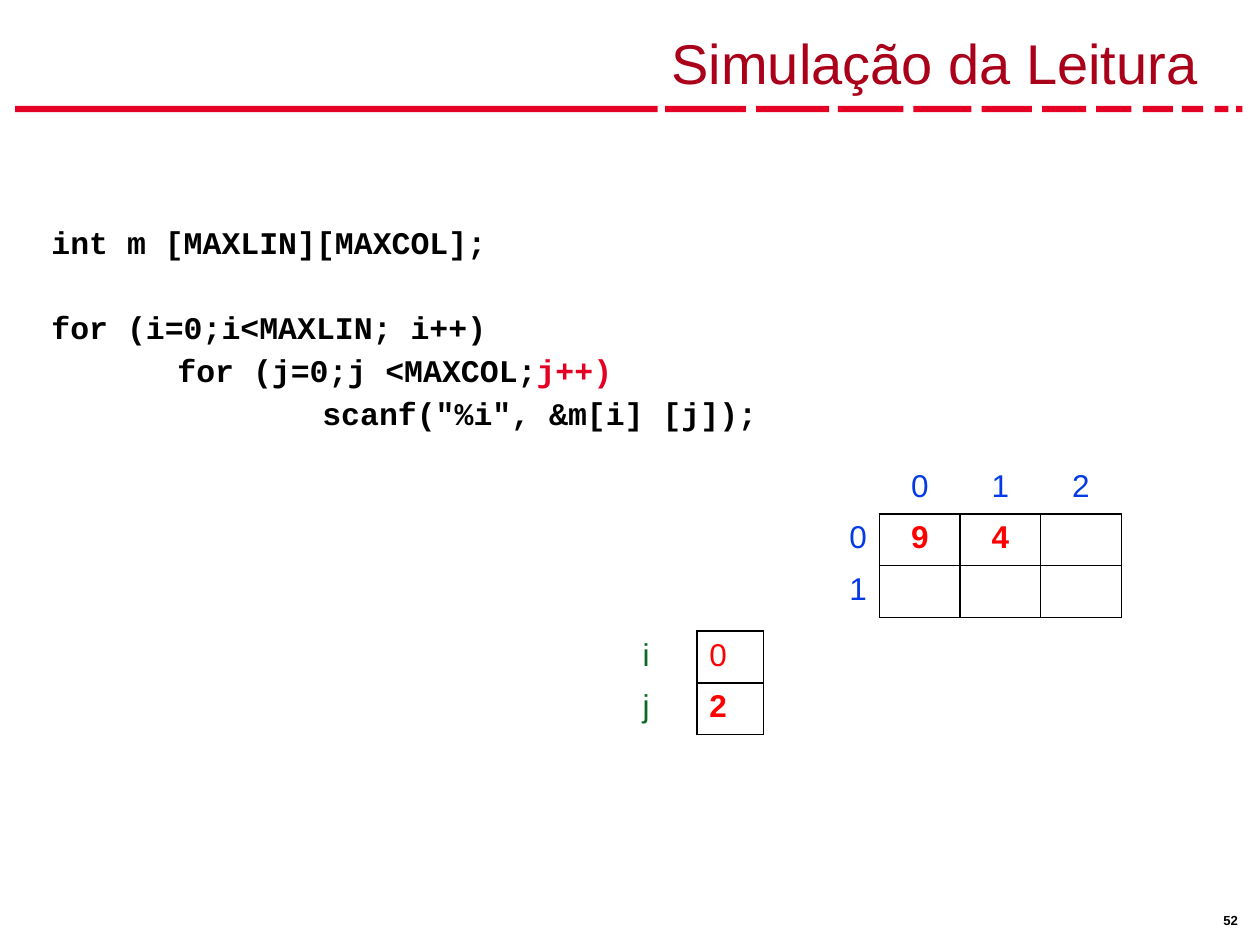
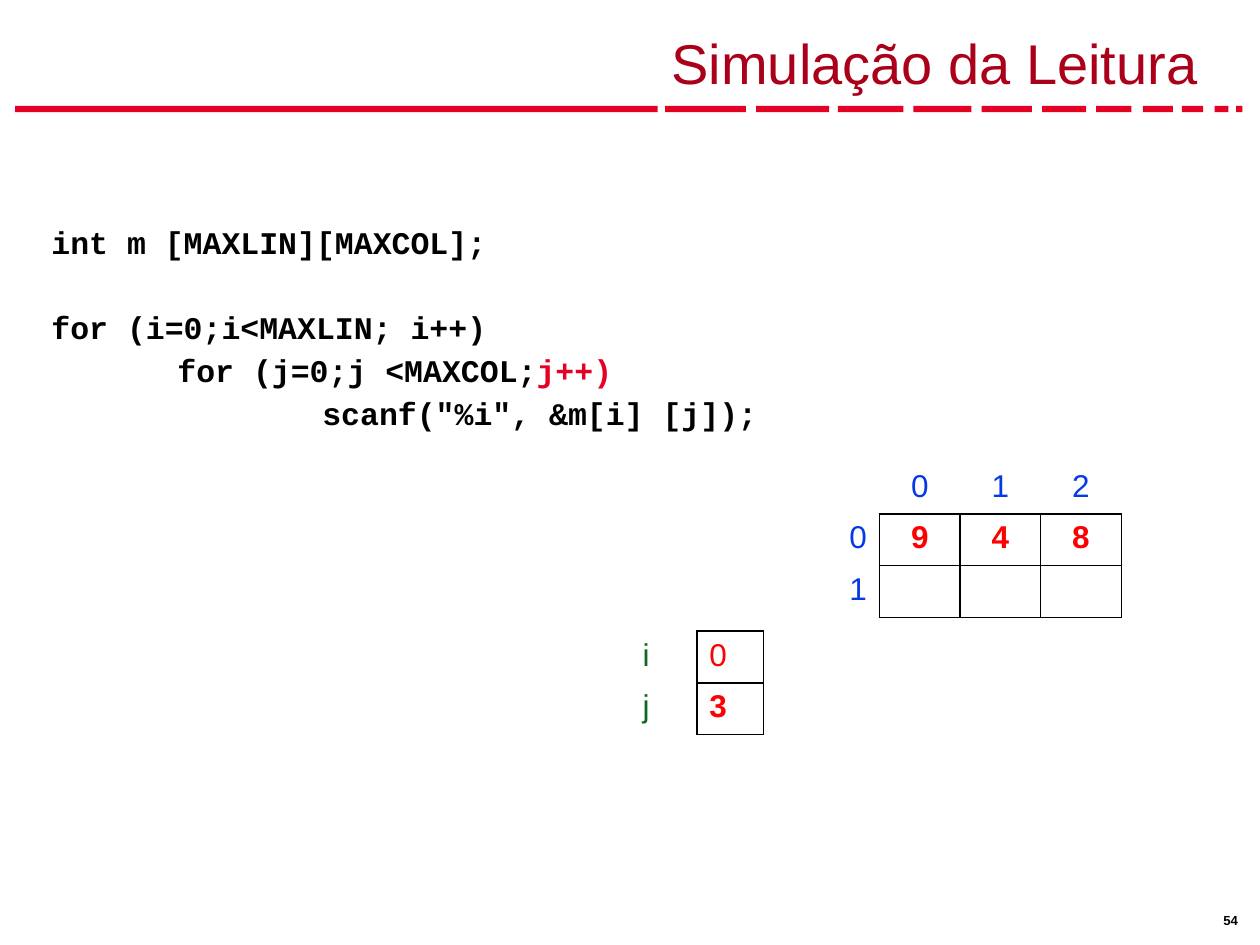
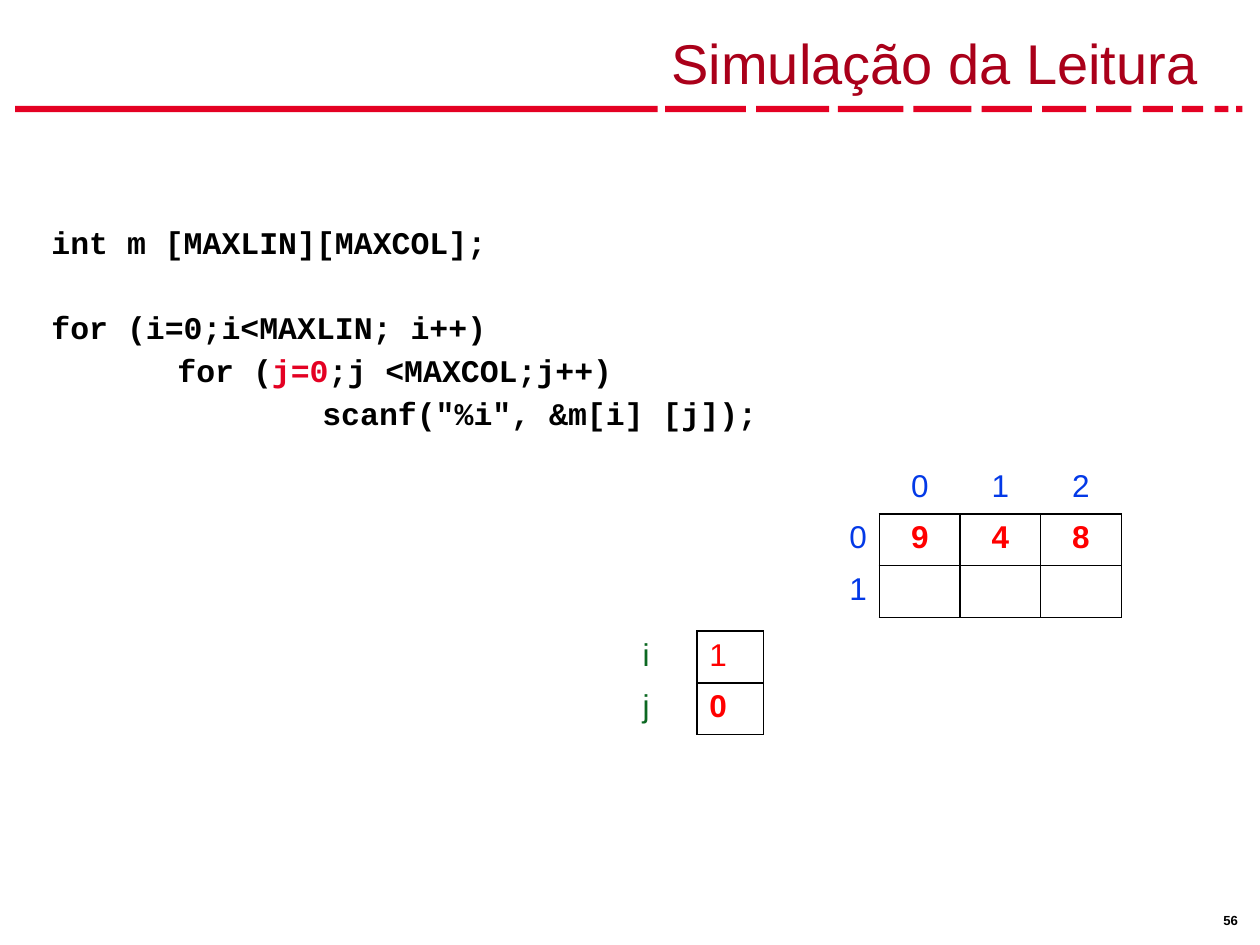
import pptx
import pptx.dml.color
import pptx.enum.shapes
import pptx.enum.text
import pptx.oxml
import pptx.oxml.ns
import pptx.util

Inch = pptx.util.Inches
Point = pptx.util.Pt
Color = pptx.dml.color.RGBColor
Align = pptx.enum.text.PP_ALIGN
Anchor = pptx.enum.text.MSO_ANCHOR

# Colours
BLACK = Color(0x00, 0x00, 0x00)
WHITE = Color(0xFF, 0xFF, 0xFF)
BAND = Color(0xE4, 0x01, 0x23)
TITLE = Color(0xAA, 0x00, 0x1A)
BLUE = Color(0x03, 0x39, 0xE7)
GREEN = Color(0x0C, 0x68, 0x22)
VALUE = Color(0xFF, 0x00, 0x00)

# Shared measures, in inches
LEFT = 0.31
ROW = 0.41
DASHES = [(0.12, 5.1), (5.28, 0.64), (6, 0.58), (6.65, 0.52), (7.25, 0.46),
          (7.79, 0.4), (8.27, 0.35), (8.7, 0.28), (9.07, 0.24), (9.38, 0.17),
          (9.64, 0.11), (9.81, 0.05)]

# Code lines: indent in inches, space before in points, text
CODE = [(0, 0, "int m [MAXLIN][MAXCOL];"),
        (0, 24.8, "for (i=0;i<MAXLIN; i++)"),
        (1, 1.4, "for (j=0;j <MAXCOL;j++)"),
        (2.15, 1.4, 'scanf("%i", &m[i] [j]);')]

# Steps: page number, marked code, first matrix row, i, j
STEPS = [(52, "j++)", ["9", "4", ""], "0", "2"),
         (54, "j++)", ["9", "4", "8"], "0", "3"),
         (56, "j=0", ["9", "4", "8"], "1", "0")]


def write(para, text, size=18, color=BLACK, bold=False, font="Arial",
          align=Align.LEFT, mark=""):
    """Fill a paragraph; the part equal to mark takes the band colour."""
    para.alignment = align
    para.font.size = Point(size)
    for part in text.partition(mark) if mark else [text]:
        if part:
            run = para.add_run()
            run.text = part
            run.font.name = font
            run.font.size = Point(size)
            run.font.bold = bold
            run.font.color.rgb = BAND if part == mark else color


def add_box(slide, place, pads, anchor=Anchor.TOP):
    """Add a wrapping text box with left, top, right, bottom margins."""
    frame = slide.shapes.add_textbox(*map(Inch, place)).text_frame
    frame.word_wrap = True
    frame.vertical_anchor = anchor
    (frame.margin_left, frame.margin_top,
     frame.margin_right, frame.margin_bottom) = map(Inch, pads)
    return frame


deck = pptx.Presentation()
deck.slide_width = Inch(10)
deck.slide_height = Inch(7.5)

for page, mark, top_row, i, j in STEPS:
    slide = deck.slides.add_slide(deck.slide_layouts[6])

    # Dashed band
    for x, wide in DASHES:
        dash = slide.shapes.add_shape(
            pptx.enum.shapes.MSO_SHAPE.RECTANGLE,
            Inch(x), Inch(0.84), Inch(wide), Inch(0.05))
        dash.shadow.inherit = False
        dash.fill.solid()
        dash.fill.fore_color.rgb = BAND
        dash.line.fill.background()

    # Page number
    frame = add_box(slide, (9.63, 7.2, 0.33, 0.2), (0.08, 0.04, 0.08, 0.04))
    write(frame.paragraphs[0], str(page), size=7.5, bold=True)

    # Matrix and loop variables: left, top, column width, head rows, ...
    matrix = [["", "0", "1", "2"], ["0"] + top_row, ["1", "", "", ""]]
    names = [["i", i], ["j", j]]
    for x, y, wide, head, tint, sides, grid in [
            (6.34, 3.67, 0.64, 1, BLUE, (Align.RIGHT, Align.CENTER), matrix),
            (5, 5.01, 0.53, 0, GREEN, (Align.LEFT, Align.LEFT), names)]:
        rows, cols = len(grid), len(grid[0])
        table = slide.shapes.add_table(
            rows, cols, Inch(x), Inch(y),
            Inch(wide * cols), Inch(ROW * rows)).table
        table.first_row = table.horz_banding = False
        for r, line in enumerate(grid):
            table.rows[r].height = Inch(ROW)
            for c, text in enumerate(line):
                table.columns[c].width = Inch(wide)
                cell = table.cell(r, c)
                label = r < head or c == 0

                # Black borders around values, and where labels touch them
                if not label:
                    edges = "LRTB"
                elif r >= head:
                    edges = "R"
                else:
                    edges = "B" if c else ""
                props = cell._tc.get_or_add_tcPr()
                for edge in edges:
                    props.append(pptx.oxml.parse_xml(
                        f'<a:ln{edge} {pptx.oxml.ns.nsdecls("a")} w="12700">'
                        f'<a:solidFill><a:srgbClr val="{BLACK}"/></a:solidFill>'
                        f'</a:ln{edge}>'))
                cell.fill.solid()
                cell.fill.fore_color.rgb = WHITE
                write(cell.text_frame.paragraphs[0], text,
                      color=tint if label else VALUE,
                      bold=not label and r > 0, align=sides[c > 0])

    # Title
    frame = add_box(slide, (LEFT, 0.08, 9.42, 0.73),
                    (0.1, 0.05, 0.22, 0.05), Anchor.BOTTOM)
    write(frame.paragraphs[0], "Simulação da Leitura", size=32, color=TITLE,
          align=Align.RIGHT)

    # Code
    frame = add_box(slide, (LEFT, 1.01, 6.28, 2.71), (0.1, 0.74, 0.1, 0.05))
    for n, (indent, gap, text) in enumerate(CODE):
        para = frame.add_paragraph() if n else frame.paragraphs[0]
        para._p.get_or_add_pPr().set("marL", str(Inch(indent)))
        para.line_spacing = 1.08
        if n:
            para.space_before = Point(gap)
        write(para, text, bold=True, font="Courier New", mark=mark)

deck.save("out.pptx")
